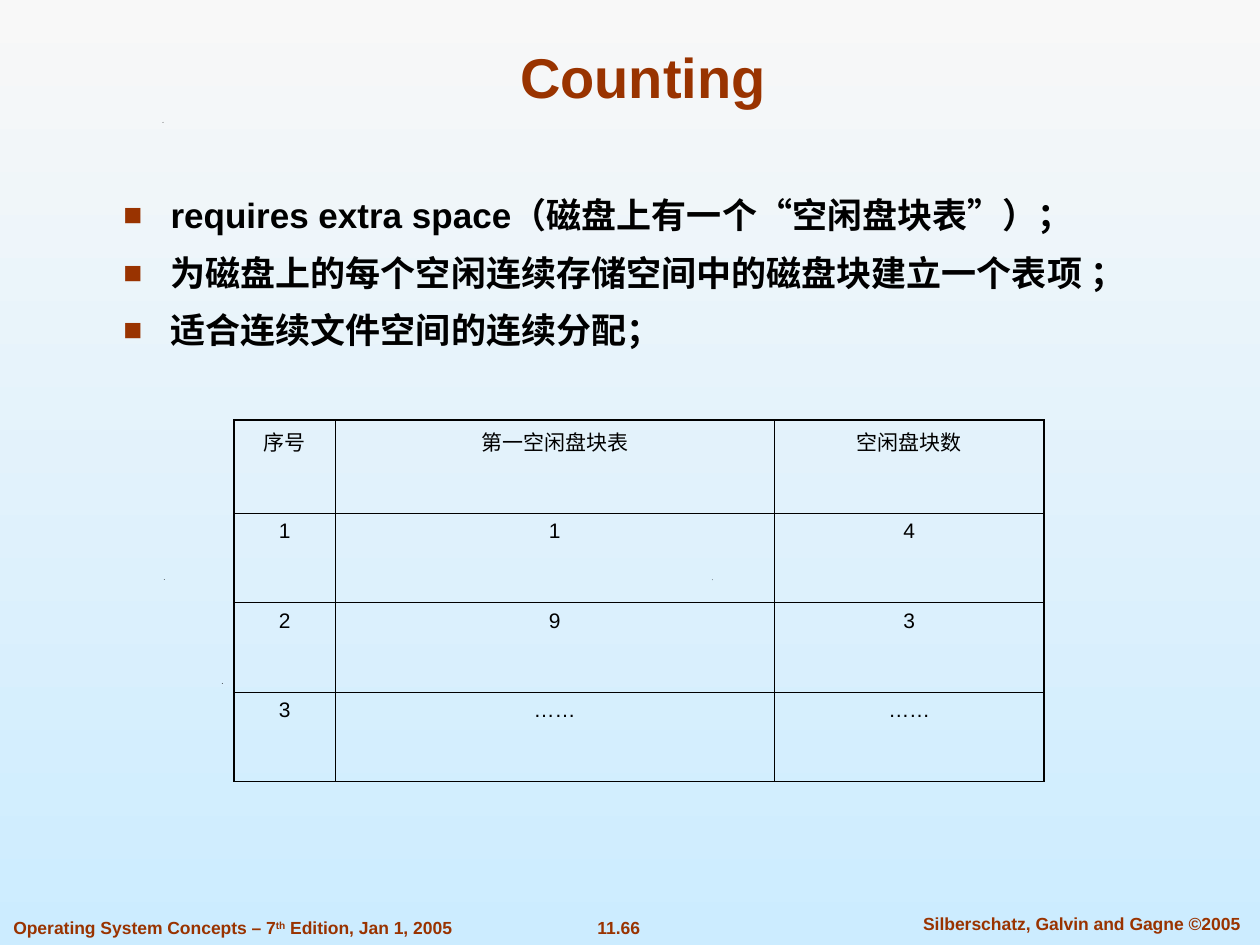
"""Build the "Counting" slide on free-space management."""
from lxml import etree
from pptx import Presentation
from pptx.dml.color import RGBColor
from pptx.enum.text import MSO_ANCHOR, PP_ALIGN
from pptx.oxml.ns import qn
from pptx.util import Pt

CENTER, LEFT = PP_ALIGN.CENTER, PP_ALIGN.LEFT
BOTTOM, TOP = MSO_ANCHOR.BOTTOM, MSO_ANCHOR.TOP
RUST = RGBColor(0x99, 0x33, 0x00)
BLACK = RGBColor(0x00, 0x00, 0x00)
SKY_TOP = RGBColor(0xF8, 0xF8, 0xF8)
SKY_BOTTOM = RGBColor(0xCC, 0xEC, 0xFF)
THICK, THIN = Pt(1.08), Pt(0.45)


def write(paragraph, text, size=10, color=RUST, bold=True, align=LEFT, baseline=0):
    paragraph.alignment = align
    run = paragraph.add_run()
    run.text = text
    run.font.name = "Arial"
    run.font.size = Pt(size)
    run.font.bold = bold
    run.font.color.rgb = color
    if baseline:
        run._r.get_or_add_rPr().set("baseline", str(baseline * 1000))


def add_frame(left, top, width, height, anchor=TOP, wrap=True):
    box = slide.shapes.add_textbox(Pt(left), Pt(top), Pt(width), Pt(height))
    box.text_frame.word_wrap = wrap
    box.text_frame.vertical_anchor = anchor
    return box.text_frame


prs = Presentation()
prs.slide_width, prs.slide_height = Pt(720), Pt(540)
slide = prs.slides.add_slide(prs.slide_layouts[6])

sky = slide.background.fill
sky.gradient()
sky.gradient_angle = 270
for stop, color in zip(sky.gradient_stops, (SKY_TOP, SKY_BOTTOM)):
    stop.color.rgb = color

for x, y in [(126.8, 390.6), (93.6, 331.2), (406.8, 331.4), (92.9, 70)]:
    builder = slide.shapes.build_freeform(Pt(x), Pt(y))
    builder.add_line_segments([(Pt(x + 0.5), Pt(y - 0.3)), (Pt(x + 0.3), Pt(y + 0.2))])
    speck = builder.convert_to_shape()
    speck.shadow.inherit = False
    speck.fill.solid()
    speck.fill.fore_color.rgb = BLACK
    speck.line.fill.background()

page_number = add_frame(315.4, 520.5, 76.3, 19.4, wrap=False)
write(page_number.paragraphs[0], "11.66", align=CENTER)
copyright_line = add_frame(511.2, 518.4, 213.8, 19.4)
write(copyright_line.paragraphs[0], "Silberschatz, Galvin and Gagne ©2005", align=CENTER)
edition = add_frame(0.5, 520.5, 265, 19.4, wrap=False).paragraphs[0]
write(edition, "Operating System Concepts – 7")
write(edition, "th", baseline=30)
write(edition, " Edition, Jan 1, 2005")

title = add_frame(54, 18, 635.8, 48.2, anchor=BOTTOM)
write(title.paragraphs[0], "Counting ", size=32, align=CENTER)

points = [
    "requires extra space（磁盘上有一个“空闲盘块表”）；",
    "为磁盘上的每个空闲连续存储空间中的磁盘块建立一个表项 ；",
    "适合连续文件空间的连续分配；",
]
body = add_frame(63.4, 107.3, 600.5, 139)
for index, point in enumerate(points):
    paragraph = body.add_paragraph() if index else body.paragraphs[0]
    properties = paragraph._p.get_or_add_pPr()
    properties.set("marL", str(Pt(27)))
    properties.set("indent", str(-Pt(27)))
    bullet_color = etree.SubElement(properties, qn("a:buClr"))
    etree.SubElement(bullet_color, qn("a:srgbClr"), val=str(RUST))
    etree.SubElement(properties, qn("a:buSzPct"), val="90000")
    etree.SubElement(properties, qn("a:buFont"), typeface="Arial")
    etree.SubElement(properties, qn("a:buChar"), char="■")
    if index:
        paragraph.space_before = Pt(8.8)
    write(paragraph, point, size=20, color=BLACK)

entries = [
    ("序号", "第一空闲盘块表", "空闲盘块数"),
    ("1", "1", "4"),
    ("2", "9", "3"),
    ("3", "……", "……"),
]
column_widths = (57.8, 250.8, 154.4)
row_heights = (53.3, 51.1, 51.1, 51.1)
table = slide.shapes.add_table(
    len(entries), len(column_widths), Pt(133.8), Pt(240), Pt(sum(column_widths)), Pt(sum(row_heights))
).table
table.first_row = table.horz_banding = False
for column, width in zip(table.columns, column_widths):
    column.width = Pt(width)
for row, height in zip(table.rows, row_heights):
    row.height = Pt(height)

last_row, last_column = len(entries) - 1, len(column_widths) - 1
for r, entry in enumerate(entries):
    for c, text in enumerate(entry):
        cell = table.cell(r, c)
        write(cell.text_frame.paragraphs[0], text, size=12, color=BLACK, bold=False, align=CENTER)
        outer_edges = {"L": c == 0, "R": c == last_column, "T": r == 0, "B": r == last_row}
        for side, outer in outer_edges.items():
            border = etree.SubElement(
                cell._tc.get_or_add_tcPr(), qn(f"a:ln{side}"), w=str(THICK if outer else THIN)
            )
            border_fill = etree.SubElement(border, qn("a:solidFill"))
            etree.SubElement(border_fill, qn("a:srgbClr"), val=str(BLACK))
        cell.fill.background()

prs.save("out.pptx")
